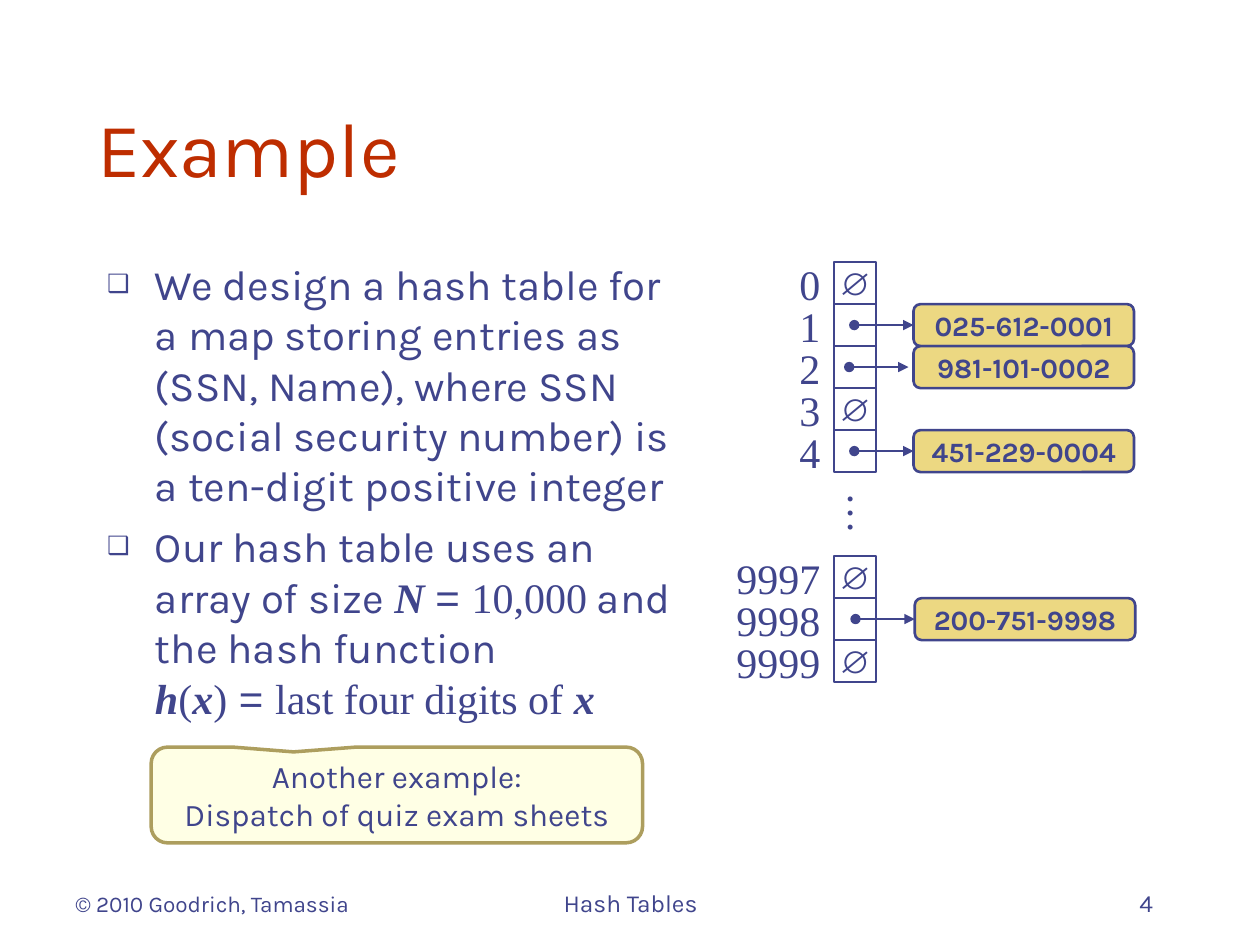
from dataclasses import dataclass
from typing import Optional

from lxml.etree import SubElement
from pptx import Presentation
from pptx.dml.color import RGBColor
from pptx.enum.shapes import MSO_CONNECTOR, MSO_SHAPE
from pptx.enum.text import MSO_ANCHOR, MSO_AUTO_SIZE, PP_ALIGN
from pptx.oxml.ns import qn
from pptx.util import Inches, Pt

INK, RED, GOLD, CREAM, OLIVE = "40458C", "BE2D00", "ECD882", "FFFFCC", "AD9E5E"
SANS, SERIF, SYMBOL = "Karla", "Times New Roman", "Arial"
CELL = 1 / 3
TABLE_LEFT, TABLE_TOP = 6.62, 2.08
ENTRY_LEFT, ENTRY_WIDTH = 7.25, 1.75


@dataclass
class Bucket:
    row: int
    key: str
    entry: Optional[str] = None
    arrow_shift: float = 0
    entry_shift: float = 0


@dataclass
class Footer:
    text: str
    left: float
    width: float
    size: float
    align: PP_ALIGN


BUCKETS = [
    Bucket(0, "0"),
    Bucket(1, "1", "025-612-0001"),
    Bucket(2, "2", "981-101-0002", arrow_shift=-0.04),
    Bucket(3, "3"),
    Bucket(4, "4", "451-229-0004"),
    Bucket(7, "9997"),
    Bucket(8, "9998", "200-751-9998", entry_shift=0.01),
    Bucket(9, "9999"),
]
FOOTERS = [
    Footer("© 2010 Goodrich, Tamassia", 0.5, 2.67, 12.9, PP_ALIGN.LEFT),
    Footer("Hash Tables", 3.42, 3.17, 14, PP_ALIGN.CENTER),
    Footer("4", 7.17, 2.08, 14, PP_ALIGN.RIGHT),
]
VARIABLE = dict(font=SERIF, bold=True, italic=True)
POINTS = [
    [("We design a hash table for a map storing entries as (SSN, Name), where SSN "
      "(social security number) is a ten-digit positive integer", {})],
    [("Our hash table uses an array of size ", {}), ("N ", VARIABLE),
     ("= ", dict(font=SYMBOL)), ("10,000", dict(font=SERIF)),
     (" and the hash function", {}), ("\n", {}),
     ("h", VARIABLE), ("(", dict(font=SERIF)), ("x", VARIABLE),
     (")", dict(font=SERIF)), (" = ", dict(font=SYMBOL)),
     ("last four digits of ", dict(font=SERIF)), ("x", VARIABLE)],
]


def rgb(color: str) -> RGBColor:
    return RGBColor.from_string(color)


def add_run(p, text: str, size: float = 24, font: str = SANS, color: str = INK,
            bold: bool = False, italic: bool = False) -> None:
    r = p.add_run()
    r.text = text
    f = r.font
    f.size, f.name, f.bold, f.italic = Pt(size), font, bold, italic
    f.color.rgb = rgb(color)


def write(sp, text: str, align: PP_ALIGN = PP_ALIGN.CENTER,
          anchor: MSO_ANCHOR = MSO_ANCHOR.MIDDLE, wrap: bool = False, **style) -> None:
    """Fill a shape with one paragraph per line of text."""
    tf = sp.text_frame
    tf.word_wrap, tf.auto_size, tf.vertical_anchor = wrap, MSO_AUTO_SIZE.NONE, anchor
    for i, line in enumerate(text.split("\n")):
        p = tf.add_paragraph() if i else tf.paragraphs[0]
        p.alignment = align
        add_run(p, line, **style)


def place(sp, left: float, top: float, width: float, height: float) -> None:
    sp.left, sp.top, sp.width, sp.height = map(Inches, (left, top, width, height))


def add_text(s, left: float, top: float, width: float, height: float, text: str, **style):
    sp = s.shapes.add_textbox(*map(Inches, (left, top, width, height)))
    write(sp, text, **style)
    return sp


def add_box(s, kind: MSO_SHAPE, left: float, top: float, width: float, height: float,
            fill: Optional[str] = None, line: str = INK, weight: float = 1.5):
    sp = s.shapes.add_shape(kind, *map(Inches, (left, top, width, height)))
    sp.shadow.inherit = False
    if fill:
        sp.fill.solid()
        sp.fill.fore_color.rgb = rgb(fill)
    else:
        sp.fill.background()
    sp.line.color.rgb = rgb(line)
    sp.line.width = Pt(weight)
    return sp


def add_pointer(s, x1: float, x2: float, y: float):
    c = s.shapes.add_connector(MSO_CONNECTOR.STRAIGHT, *map(Inches, (x1, y, x2, y)))
    c.line.color.rgb = rgb(INK)
    c.line.width = Pt(1.5)
    ln = c.line._get_or_add_ln()
    SubElement(ln, qn("a:headEnd"), type="oval")
    SubElement(ln, qn("a:tailEnd"), type="triangle")
    SubElement(c._element.spPr, qn("a:effectLst"))
    return c


def add_bucket(s, b: Bucket) -> None:
    top = TABLE_TOP + b.row * CELL
    cell = add_box(s, MSO_SHAPE.RECTANGLE, TABLE_LEFT, top, CELL, CELL)
    add_text(s, 5.75, top - 0.08, 0.86, 0.5, b.key, align=PP_ALIGN.RIGHT,
             anchor=MSO_ANCHOR.TOP, font=SERIF)
    if b.entry is None:
        write(cell, "∅", size=18, font=SYMBOL)
        return
    left = ENTRY_LEFT + b.entry_shift
    entry = add_box(s, MSO_SHAPE.ROUNDED_RECTANGLE, left, top, ENTRY_WIDTH, CELL, GOLD)
    write(entry, b.entry, size=16, bold=True)
    tip = left + b.arrow_shift
    pointer = add_pointer(s, tip - 0.47, tip, top + CELL / 2)
    if not b.arrow_shift:
        pointer.end_connect(entry, 1)


def add_points(body) -> None:
    tf = body.text_frame
    tf.word_wrap, tf.auto_size = True, MSO_AUTO_SIZE.NONE
    for i, runs in enumerate(POINTS):
        p = tf.add_paragraph() if i else tf.paragraphs[0]
        pPr = p._p.get_or_add_pPr()
        pPr.set("marL", str(Inches(0.38)))
        pPr.set("indent", str(-Inches(0.38)))
        SubElement(SubElement(pPr, qn("a:buClr")), qn("a:srgbClr"), val=INK)
        SubElement(pPr, qn("a:buSzPct"), val="60000")
        SubElement(pPr, qn("a:buChar"), char="❑")
        p.space_before = Pt(6 if i else 0)
        for text, style in runs:
            if text == "\n":
                p.add_line_break()
            else:
                add_run(p, text, **style)


def main() -> None:
    prs = Presentation()
    prs.slide_width, prs.slide_height = Inches(10), Inches(7.5)
    s = prs.slides.add_slide(prs.slide_layouts[1])

    title, body = s.placeholders
    place(title, 0.67, 0.33, 8.75, 1.25)
    write(title, "Example", align=PP_ALIGN.LEFT, anchor=MSO_ANCHOR.BOTTOM, wrap=True,
          size=44, color=RED)
    place(body, 0.75, 2, 4.75, 4.83)
    add_points(body)

    for b in BUCKETS:
        add_bucket(s, b)
    dots = add_text(s, 6.6, 3.83, 0.53, 0.5, "…", anchor=MSO_ANCHOR.TOP, font=SERIF)
    dots.rotation = 90

    note = add_box(s, MSO_SHAPE.ROUNDED_RECTANGULAR_CALLOUT, 1.2, 5.93, 3.9, 0.76,
                   CREAM, OLIVE, 2)
    for i, value in enumerate((-0.21, -0.45, 0.17)):
        note.adjustments[i] = value
    color = note._element.spPr.find(qn("a:solidFill")).find(qn("a:srgbClr"))
    SubElement(color, qn("a:alpha"), val="50000")
    write(note, "Another example:\nDispatch of quiz exam sheets", size=18)

    for f in FOOTERS:
        add_text(s, f.left, 6.83, f.width, 0.5, f.text, align=f.align,
                 anchor=MSO_ANCHOR.BOTTOM, wrap=True, size=f.size)
    prs.save("out.pptx")


if __name__ == "__main__":
    main()
